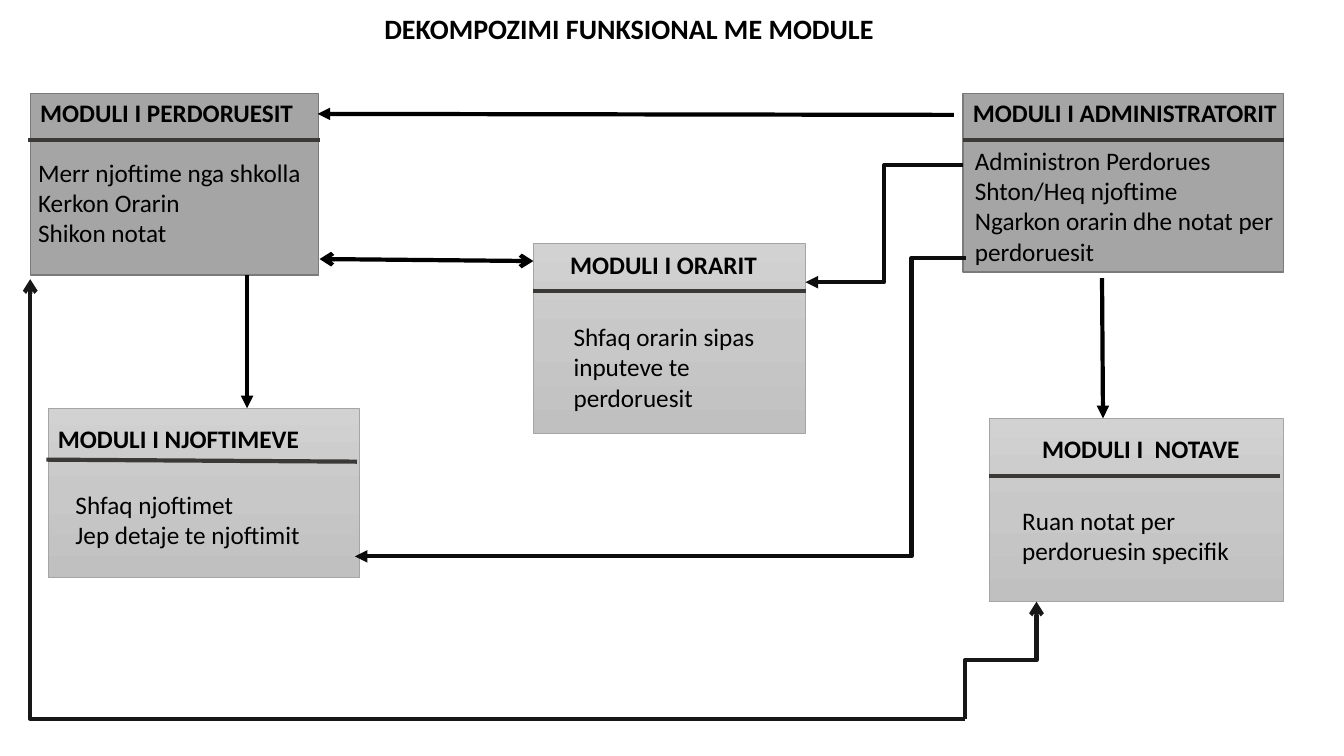
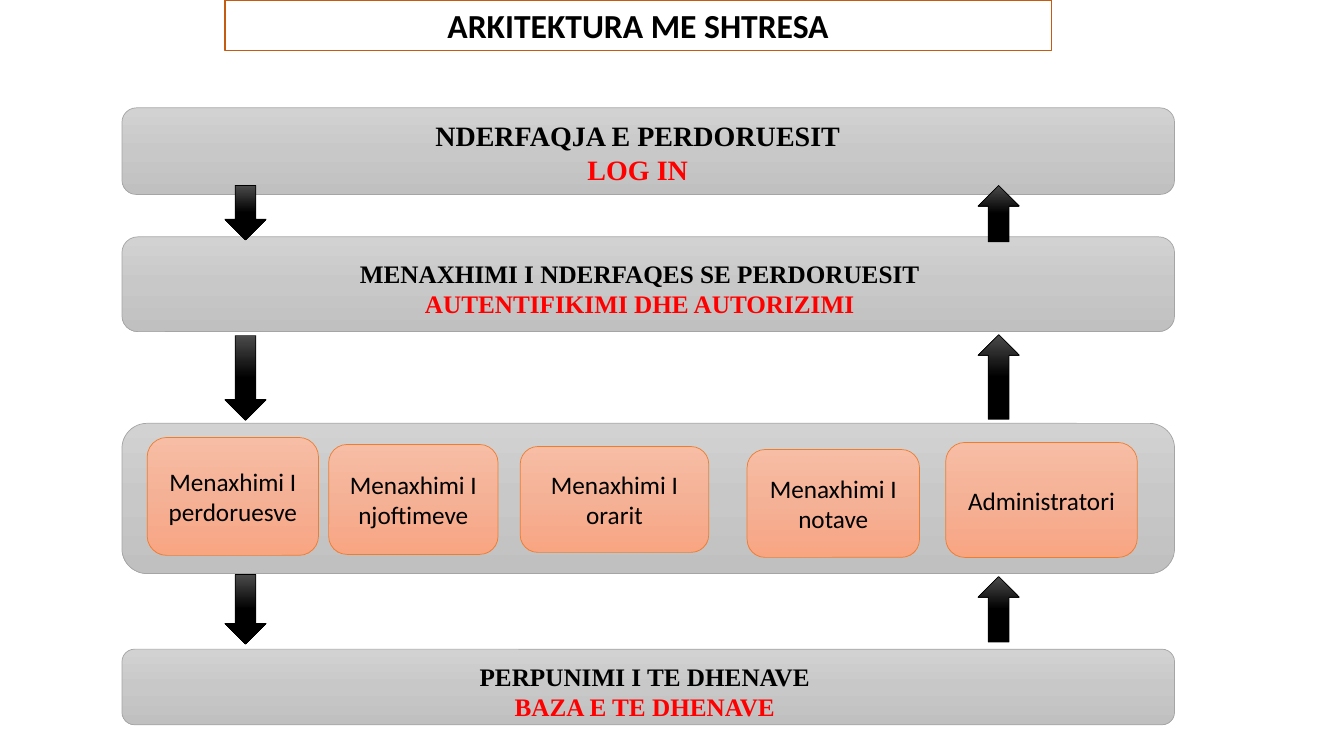
from copy import deepcopy
from dataclasses import dataclass

from lxml.etree import SubElement
from pptx import Presentation
from pptx.dml.color import RGBColor
from pptx.enum.shapes import MSO_CONNECTOR as LINK, MSO_SHAPE as SHAPE
from pptx.enum.text import MSO_ANCHOR as ANCHOR, MSO_AUTO_SIZE as FIT, PP_ALIGN as ALIGN
from pptx.oxml.ns import qn
from pptx.util import Pt


@dataclass(frozen=True)
class Theme:
    sans: str = "Calibri"
    serif: str = "Times New Roman"
    text: str = "000000"
    accent: str = "FF0000"
    white: str = "FFFFFF"
    title_line: str = "C55A11"
    dark: str = "A5A5A5"
    dark_line: str = "7A7A7A"
    rule: str = "3B3838"
    link: str = "0D0D0D"
    loop: str = "181717"
    silver: tuple = ("D2D2D2", "C8C8C8", "C0C0C0")
    peach: tuple = ("F7BDA5", "F5B196", "F8A582")
    peach_line: str = "ED7D31"
    black: tuple = ("4B4B4B", "000000", "000000")
    body: int = 18
    heading: int = 20
    banner: int = 24
    thin: float = 0.5
    thick: float = 3


T = Theme()


def px(n):
    return int(n * 9144)


def rgb(color):
    return RGBColor.from_string(color)


def write(sp, lines, size=T.body, font=T.sans, bold=False, align=ALIGN.LEFT,
          anchor=ANCHOR.TOP, colors=(T.text,)):
    tf = sp.text_frame
    tf.text = "\n".join(lines)
    tf.word_wrap = True
    tf.auto_size = FIT.NONE
    tf.vertical_anchor = anchor
    for i, p in enumerate(tf.paragraphs):
        p.alignment = align
        f = p.runs[0].font
        f.name, f.size, f.bold = font, Pt(size), bold
        f.color.rgb = rgb(colors[i % len(colors)])


def add_text(s, box, lines, **style):
    sp = s.shapes.add_textbox(*map(px, box))
    write(sp, lines, **style)


def paint(sp, fill, line, width):
    if isinstance(fill, tuple):
        sp.fill.gradient()
        sp.fill.gradient_angle = 270
        first = sp._element.spPr.find(".//" + qn("a:gs"))
        first.addnext(deepcopy(first))
        for i, (stop, color) in enumerate(zip(sp.fill.gradient_stops, fill)):
            stop.color.rgb = rgb(color)
            stop.position = i / 2
    else:
        sp.fill.solid()
        sp.fill.fore_color.rgb = rgb(fill)
    sp.line.color.rgb = rgb(line)
    sp.line.width = Pt(width)


def add_box(s, kind, box, fill, line, width=T.thin):
    sp = s.shapes.add_shape(kind, *map(px, box))
    sp.shadow.inherit = False
    paint(sp, fill, line, width)
    return sp


def add_link(s, start, end, color=T.text, head=None, tail=None,
             bent=False, upright=False, bend=None):
    (x1, y1), (x2, y2) = start, end
    if upright:
        cx, cy = (x1 + x2) / 2, (y1 + y2) / 2
        dx, dy = x1 - cx, y1 - cy
        x1, y1, x2, y2 = cx + dy, cy - dx, cx - dy, cy + dx
    kind = LINK.ELBOW if bent else LINK.STRAIGHT
    c = s.shapes.add_connector(kind, *map(px, (x1, y1, x2, y2)))
    c.line.color.rgb = rgb(color)
    c.line.width = Pt(T.thick)
    pr = c._element.spPr
    if upright:
        pr.find(qn("a:xfrm")).set("rot", "5400000")
    if bend is not None:
        guides = pr.find(qn("a:prstGeom")).get_or_add_avLst()
        SubElement(guides, qn("a:gd"), name="adj1", fmla=f"val {bend}")
    ln = pr.find(qn("a:ln"))
    for tag, arrow in (("a:headEnd", head), ("a:tailEnd", tail)):
        if arrow:
            SubElement(ln, qn(tag), type=arrow)
    SubElement(pr, qn("a:effectLst"))


def add_slide(prs, title, box, size):
    s = prs.slides.add_slide(prs.slide_layouts[5])
    sp = s.shapes.title
    sp.left, sp.top, sp.width, sp.height = map(px, box)
    write(sp, [title], size=size, bold=True, align=ALIGN.CENTER)
    return s


def inside(box, part):
    x, y, w, h = part
    return box[0] + x, box[1] + y, w, h


def add_module(s, box, dark, title, title_box, align, rule, lines, body_box):
    if dark:
        add_box(s, SHAPE.RECTANGLE, box, T.dark, T.dark_line, 1)
    else:
        add_box(s, SHAPE.RECTANGLE, box, T.silver, T.dark)
    x, y = box[:2]
    x1, y1, x2, y2 = rule
    add_link(s, (x + x1, y + y1), (x + x2, y + y2), T.rule)
    add_text(s, inside(box, title_box), [title], bold=True, align=align)
    add_text(s, inside(box, body_box), lines)


def add_layer(s, box, lines=(), text_box=None, size=T.body):
    add_box(s, SHAPE.ROUNDED_RECTANGLE, box, T.silver, T.dark)
    if lines:
        add_text(s, inside(box, text_box), lines, size=size, font=T.serif, bold=True,
                 align=ALIGN.CENTER, colors=(T.text, T.accent))


def add_services(s, box, services):
    add_layer(s, box)
    for label, part in services:
        sp = add_box(s, SHAPE.ROUNDED_RECTANGLE, inside(box, part), T.peach, T.peach_line)
        write(sp, [label], align=ALIGN.CENTER, anchor=ANCHOR.MIDDLE)


def modules_slide(prs):
    s = add_slide(prs, "DEKOMPOZIMI FUNKSIONAL ME MODULE", (220, 6, 808, 44), T.heading)
    modules = (
        ((30, 93, 286, 180), True, "MODULI I PERDORUESIT", (0, -1, 286, 71), ALIGN.LEFT,
         (-2, 46, 287, 46),
         ["Merr njoftime nga shkolla", "Kerkon Orarin", "Shikon notat"], (-2, 58, 287, 101)),
        ((955, 93, 318, 177), True, "MODULI I ADMINISTRATORIT", (0, -1, 339, 59), ALIGN.LEFT,
         (0, 46, 319, 46),
         ["Administron Perdorues", "Shton/Heq njoftime",
          "Ngarkon orarin dhe notat per perdoruesit"], (2, 46, 329, 131)),
        ((48, 405, 308, 168), False, "MODULI I NJOFTIMEVE", (-48, 10, 354, 71), ALIGN.CENTER,
         (-2, 51, 306, 53),
         ["Shfaq njoftimet", "Jep detaje te njoftimit"], (17, 75, 259, 71)),
        ((981, 415, 292, 182), False, "MODULI I  NOTAVE", (23, 10, 255, 71), ALIGN.CENTER,
         (0, 57, 289, 57),
         ["Ruan notat per perdoruesin specifik"], (23, 81, 244, 71)),
        ((529, 241, 270, 189), False, "MODULI I ORARIT", (0, 1, 258, 71), ALIGN.CENTER,
         (0, 48, 270, 48),
         ["Shfaq orarin sipas inputeve te perdoruesit"], (30, 73, 258, 101)),
    )
    for module in modules:
        add_module(s, *module)
    for start, end in (((245, 273), (245, 405)), ((946, 114), (315, 113)),
                       ((1093, 276), (1094, 415))):
        add_link(s, start, end, tail="triangle")
    add_link(s, (317, 257), (529, 259), head="arrow", tail="arrow")
    add_link(s, (958, 256), (352, 552), T.link, tail="triangle", bent=True, bend=8900)
    add_link(s, (955, 164), (799, 280), T.link, tail="triangle", bent=True)
    add_link(s, (957, 713), (1028, 597), T.loop, tail="arrow", bent=True, upright=True)
    add_link(s, (30, 277), (957, 713), T.loop, head="arrow", bent=True, bend=0)


def layers_slide(prs):
    s = add_slide(prs, "ARKITEKTURA ME SHTRESA", (223, 0, 820, 50), T.banner)
    paint(s.shapes.title, T.white, T.title_line, 1)
    left, width = 121, 1044
    add_layer(s, (left, 107, width, 86), ["NDERFAQJA E PERDORUESIT", "LOG IN"],
              (146, 6, 731, 77), T.heading)
    add_layer(s, (left, 235, width, 94),
              ["MENAXHIMI I NDERFAQES SE PERDORUESIT", "AUTENTIFIKIMI DHE AUTORIZIMI"],
              (150, 16, 727, 71))
    add_services(s, (left, 420, width, 149), (
        ("Menaxhimi I perdoruesve", (25, 14, 170, 117)),
        ("Menaxhimi I njoftimeve", (205, 21, 168, 109)),
        ("Menaxhimi I orarit", (395, 23, 187, 105)),
        ("Menaxhimi I notave", (620, 26, 171, 107)),
        ("Administratori", (817, 19, 190, 114)),
    ))
    add_layer(s, (left, 644, width, 75), ["PERPUNIMI I TE DHENAVE", "BAZA E TE DHENAVE"],
              (194, 7, 649, 71))
    for kind, x, spans in (
        (SHAPE.DOWN_ARROW, 223, ((184, 54), (333, 84), (570, 69))),
        (SHAPE.UP_ARROW, 970, ((184, 56), (332, 84), (572, 65))),
    ):
        for y, h in spans:
            add_box(s, kind, (x, y, 41, h), T.black, T.text)


def main():
    prs = Presentation()
    prs.slide_width, prs.slide_height = px(1333), px(750)
    modules_slide(prs)
    layers_slide(prs)
    prs.save("out.pptx")


if __name__ == "__main__":
    main()
